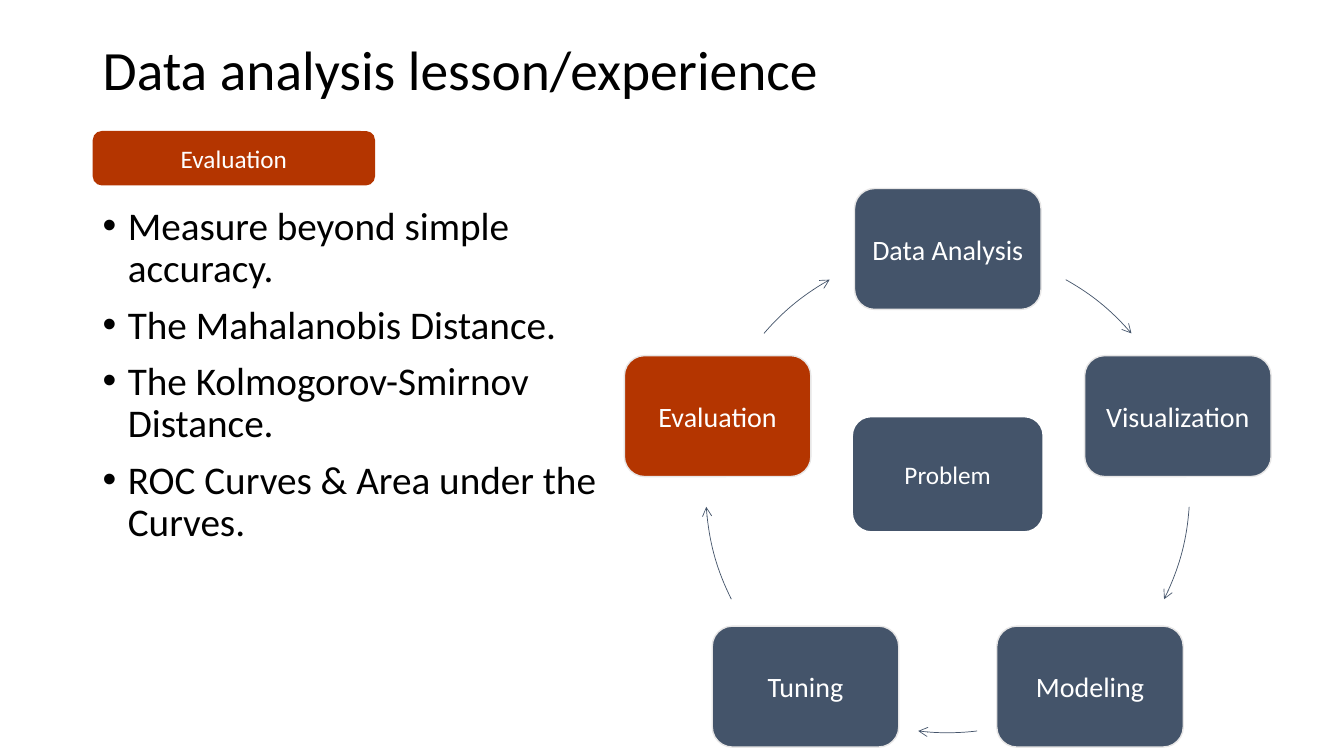
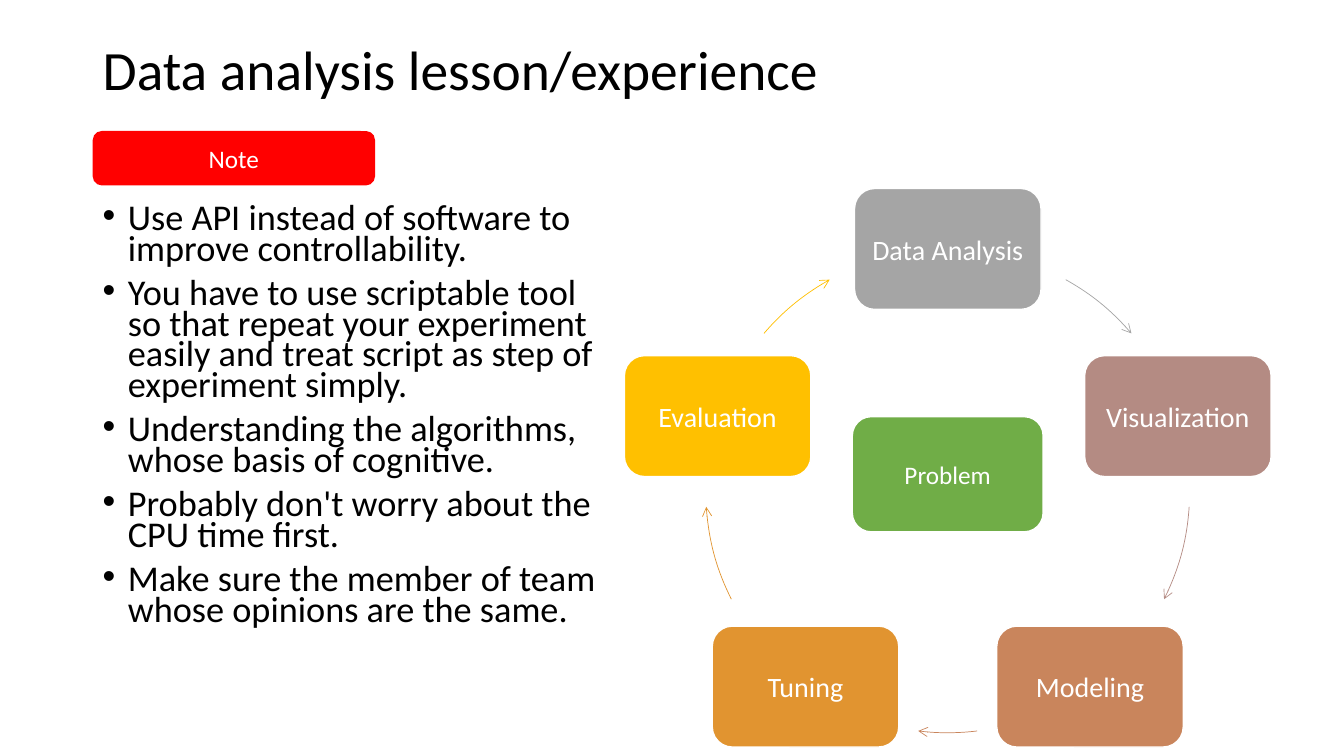
import math

from lxml import etree
from pptx import Presentation
from pptx.dml.color import RGBColor
from pptx.enum import shapes, text
from pptx.oxml import ns
from pptx.util import Inches, Pt

# Colours
BLACK = RGBColor(0x00, 0x00, 0x00)
WHITE = RGBColor(0xFF, 0xFF, 0xFF)
PALE = RGBColor(0xE7, 0xE6, 0xE6)
SLATE = RGBColor(0x44, 0x54, 0x6A)
RUST = RGBColor(0xB4, 0x35, 0x00)
RED = RGBColor(0xFF, 0x00, 0x00)
GREEN = RGBColor(0x70, 0xAD, 0x47)
GREY = RGBColor(0xA5, 0xA5, 0xA5)
ROSE = RGBColor(0xB4, 0x8B, 0x83)
COPPER = RGBColor(0xC9, 0x85, 0x5C)
ORANGE = RGBColor(0xE1, 0x94, 0x30)
GOLD = RGBColor(0xFF, 0xC0, 0x00)

# Cycle geometry: inches, and degrees clockwise from the top
CENTER_X, CENTER_Y, RADIUS = 9.4, 4.87, 2.4
STEP_WIDTH, STEP_HEIGHT = 1.85, 1.2
STEPS = ["Data Analysis", "Visualization", "Modeling", "Tuning", "Evaluation"]
ARCS = [(29.2, 49.4), (93.8, 116.6), (173, 187), (243.4, 266.2), (310.6, 330.8)]


class Lesson:
    """Shared style and the slide being built."""

    font = "Calibri"
    title = "Data analysis lesson/experience"

    def __init__(self):
        self.deck = Presentation()
        self.deck.slide_width = Inches(13.33)
        self.deck.slide_height = Inches(7.5)
        self.page = None

    def add_page(self):
        self.page = self.deck.slides.add_slide(self.deck.slide_layouts[6])
        frame = self.add_frame(0.92, 0.4, 11.5, 0.63)
        frame.vertical_anchor = text.MSO_ANCHOR.MIDDLE
        para = frame.paragraphs[0]
        para.line_spacing = 0.9
        self.add_span(para, self.title, 39.6, BLACK)

    def add_frame(self, left, top, width, height):
        box = self.page.shapes.add_textbox(
            Inches(left), Inches(top), Inches(width), Inches(height))
        box.text_frame.word_wrap = True
        return box.text_frame

    def add_span(self, para, words, size, color):
        span = para.add_run()
        span.text = words
        span.font.name = self.font
        span.font.size = Pt(size)
        span.font.color.rgb = color

    def add_bullets(self, items, size, spacing):
        frame = self.add_frame(0.92, 2, 5.23, 4.76)
        for index, item in enumerate(items):
            para = frame.add_paragraph() if index else frame.paragraphs[0]
            para.line_spacing = spacing
            para.space_before = Pt(10)
            self.add_span(para, item, size, BLACK)
            props = para._p.get_or_add_pPr()
            props.set("marL", str(Inches(0.25)))
            props.set("indent", str(Inches(-0.25)))
            etree.SubElement(props, ns.qn("a:buFont")).set("typeface", "Arial")
            etree.SubElement(props, ns.qn("a:buChar")).set("char", "•")

    def add_card(self, words, at, size, fill, line=None, weight=1):
        card = self.page.shapes.add_shape(
            shapes.MSO_SHAPE.ROUNDED_RECTANGLE, *[Inches(n) for n in at])
        card.shadow.inherit = False
        card.fill.solid()
        card.fill.fore_color.rgb = fill
        if line is None:
            card.line.fill.background()
        else:
            card.line.color.rgb = line
            card.line.width = Pt(weight)
        frame = card.text_frame
        frame.word_wrap = True
        frame.vertical_anchor = text.MSO_ANCHOR.MIDDLE
        para = frame.paragraphs[0]
        para.alignment = text.PP_ALIGN.CENTER
        self.add_span(para, words, size, WHITE)

    def add_arc(self, start, end, color):
        arc = self.page.shapes.add_shape(
            shapes.MSO_SHAPE.ARC,
            Inches(CENTER_X - RADIUS), Inches(CENTER_Y - RADIUS),
            Inches(2 * RADIUS), Inches(2 * RADIUS))
        # Preset angles run from the right, in 0.6 units per degree
        for index, angle in enumerate((start, end)):
            arc.adjustments[index] = (angle - 90) % 360 * 0.6
        arc.shadow.inherit = False
        arc.fill.background()
        arc.line.color.rgb = color
        arc.line.width = Pt(0.5)
        tail = etree.SubElement(arc.line._get_or_add_ln(), ns.qn("a:tailEnd"))
        tail.set("type", "arrow")

    def add_cycle(self, colors, arrow_colors, outline, core):
        for index, (words, color) in enumerate(zip(STEPS, colors)):
            turn = math.radians(index * 360 / len(STEPS))
            left = CENTER_X + RADIUS * math.sin(turn) - STEP_WIDTH / 2
            top = CENTER_Y - RADIUS * math.cos(turn) - STEP_HEIGHT / 2
            self.add_card(words, (left, top, STEP_WIDTH, STEP_HEIGHT),
                          20, color, outline)
            self.add_arc(*ARCS[index], arrow_colors[index])
        self.add_card("Problem", (8.45, 4.13, 1.9, 1.15), 18, core, WHITE, 1.5)

    def add_tag(self, words, color):
        self.add_card(words, (0.92, 1.3, 2.8, 0.54), 18, color)


lesson = Lesson()

# Evaluation
lesson.add_page()
lesson.add_bullets([
    "Measure beyond simple accuracy.",
    "The Mahalanobis Distance.",
    "The Kolmogorov-Smirnov Distance.",
    "ROC Curves & Area under the Curves.",
], 28, 0.9)
lesson.add_tag("Evaluation", RUST)
lesson.add_cycle([SLATE] * 4 + [RUST], [SLATE] * 5, PALE, SLATE)

# Note
lesson.add_page()
lesson.add_bullets([
    "Use API instead of software to improve controllability.",
    "You have to use scriptable tool so that repeat your experiment easily "
    "and treat script as step of experiment simply.",
    "Understanding the algorithms, whose basis of cognitive.",
    "Probably don't worry about the CPU time first.",
    "Make sure the member of team whose opinions are the same.",
], 25.9, 0.7)
lesson.add_tag("Note", RED)
step_colors = [GREY, ROSE, COPPER, ORANGE, GOLD]
lesson.add_cycle(step_colors, step_colors, WHITE, GREEN)

lesson.deck.save("out.pptx")
